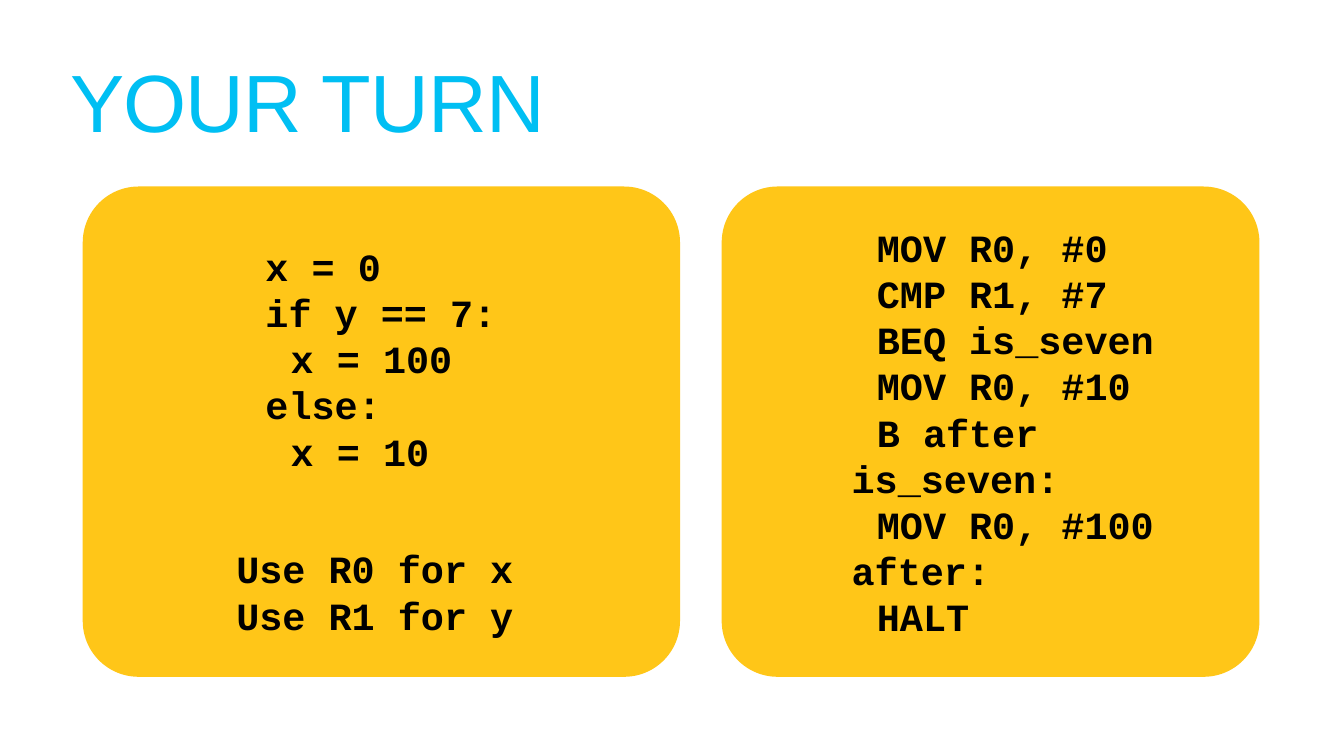
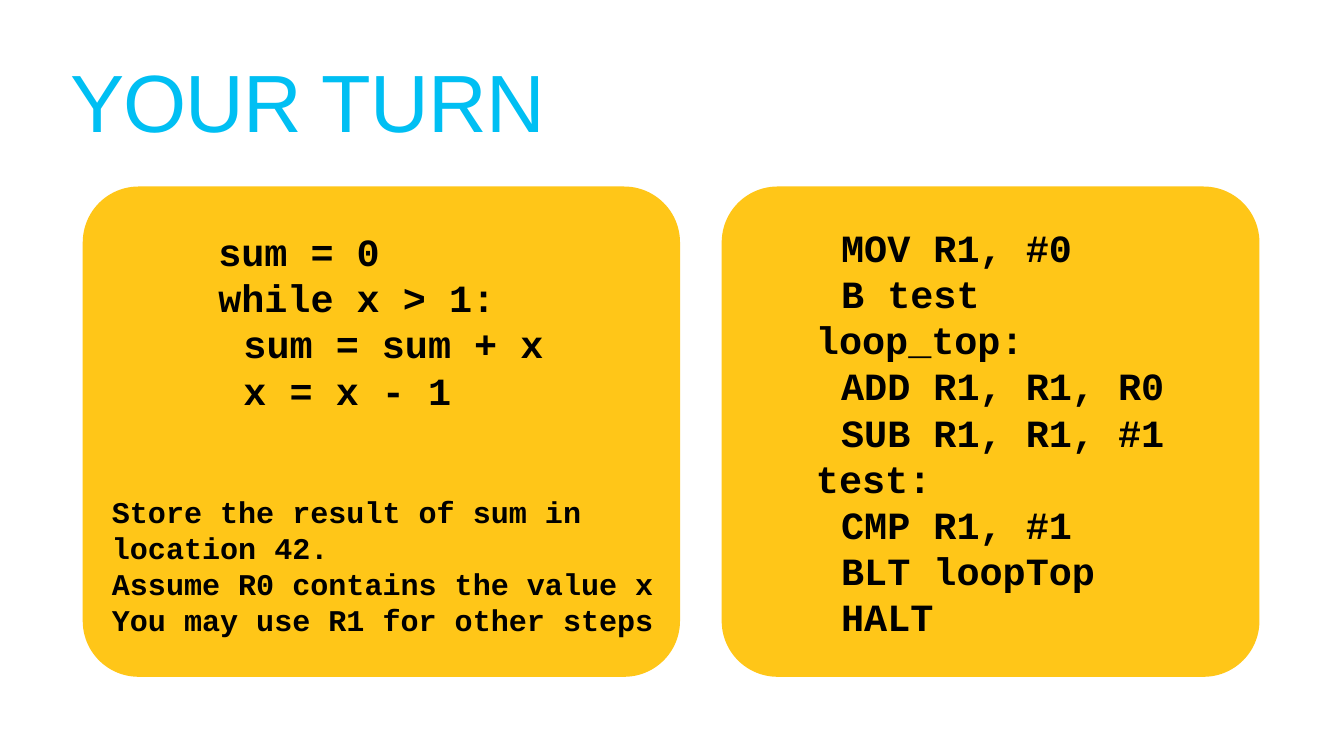
"""Build two exercise slides that pair high-level code with its assembly answer."""
from dataclasses import dataclass

from pptx import Presentation
from pptx.dml.color import RGBColor
from pptx.enum.shapes import MSO_SHAPE
from pptx.enum.text import MSO_ANCHOR, MSO_AUTO_SIZE, PP_ALIGN
from pptx.slide import Slide
from pptx.text.text import TextFrame
from pptx.util import Cm, Pt

ROUNDED = MSO_SHAPE.ROUNDED_RECTANGLE
MIDDLE, TOP = MSO_ANCHOR.MIDDLE, MSO_ANCHOR.TOP
GROW, FIXED = MSO_AUTO_SIZE.SHAPE_TO_FIT_TEXT, MSO_AUTO_SIZE.NONE
LEFT = PP_ALIGN.LEFT

CYAN = RGBColor(0x00, 0xBF, 0xF3)
AMBER = RGBColor(0xFF, 0xC6, 0x18)
BLACK = RGBColor(0x00, 0x00, 0x00)

TITLE_FONT, CODE_FONT = "Arial", "Courier New"
CODE_SIZE = 55
INSET = Cm(0.15)
INDENT = Cm(1.27)
TITLE_ONLY = 5


@dataclass(frozen=True)
class Box:
    """Place and size in centimetres."""
    left: float
    top: float
    width: float
    height: float

    def lengths(self) -> tuple[Cm, Cm, Cm, Cm]:
        """Return the four values as lengths."""
        return Cm(self.left), Cm(self.top), Cm(self.width), Cm(self.height)


@dataclass(frozen=True)
class Listing:
    """Lines of code or instructions, each with its indent level."""
    box: Box
    lines: tuple[tuple[int, str], ...]
    size: float = CODE_SIZE
    wrap: bool = False


@dataclass(frozen=True)
class Exercise:
    """A program, the hints for it and its assembly answer."""
    program: Listing
    hints: Listing
    assembly: Listing


TITLE_BOX = Box(3.38, 3.38, 60.96, 6.38)
PANELS = (Box(4.17, 9.4, 30.1, 24.71), Box(36.37, 9.4, 27.1, 24.71))
PANEL_ROUNDING = 0.114

EXERCISES = (
    Exercise(
        Listing(Box(13.23, 11.25, 11.96, 13.61), (
            (0, "x = 0"),
            (0, "if y == 7:"),
            (1, "x = 100"),
            (0, "else:"),
            (1, "x = 10"),
        )),
        Listing(Box(11.76, 26.34, 14.86, 6.96), (
            (0, "Use R0 for x"),
            (0, "Use R1 for y"),
        ), wrap=True),
        Listing(Box(41.5, 11.61, 16.84, 20.29), (
            (2, "MOV R0, #0"),
            (2, "CMP R1, #7"),
            (2, "BEQ is_seven"),
            (2, "MOV R0, #10"),
            (2, "B after"),
            (1, "is_seven:"),
            (2, "MOV R0, #100"),
            (1, "after:"),
            (2, "HALT"),
        )),
    ),
    Exercise(
        Listing(Box(10.85, 11.56, 16.71, 9.17), (
            (0, "sum = 0"),
            (0, "while x > 1:"),
            (1, "sum = sum + x"),
            (1, "x = x - 1"),
        )),
        Listing(Box(5.49, 24.03, 29.49, 8.92), (
            (0, "Store the result of sum in location 42."),
            (0, "Assume R0 contains the value x"),
            (0, "You may use R1 for other steps"),
        ), size=43, wrap=True),
        Listing(Box(40.97, 11.61, 17.88, 20.29), (
            (1, "MOV R1, #0"),
            (1, "B test"),
            (0, "loop_top:"),
            (1, "ADD R1, R1, R0"),
            (1, "SUB R1, R1, #1"),
            (0, "test:"),
            (1, "CMP R1, #1"),
            (1, "BLT loopTop"),
            (1, "HALT"),
        )),
    ),
)


def write_text(frame: TextFrame, lines: tuple[tuple[int, str], ...], *,
               font: str = CODE_FONT, size: float = CODE_SIZE,
               color: RGBColor = BLACK, bold: bool = True, wrap: bool = True,
               anchor: MSO_ANCHOR = MIDDLE, fit: MSO_AUTO_SIZE = GROW,
               line_spacing: float = 1.0, tracking: float = 0) -> None:
    """Fill a text frame with indented lines in one format."""
    frame.margin_left = frame.margin_right = INSET
    frame.margin_top = frame.margin_bottom = INSET
    frame.word_wrap = wrap
    frame.auto_size = fit
    frame.vertical_anchor = anchor
    for index, (level, text) in enumerate(lines):
        paragraph = frame.add_paragraph() if index else frame.paragraphs[0]
        paragraph.alignment = LEFT
        paragraph.level = level
        paragraph.line_spacing = line_spacing
        properties = paragraph._p.get_or_add_pPr()
        properties.set("marL", str(level * INDENT))
        properties.set("indent", "0")
        run = paragraph.add_run()
        run.text = text
        run.font.name = font
        run.font.size = Pt(size)
        run.font.bold = bold
        run.font.color.rgb = color
        if tracking:
            run._r.get_or_add_rPr().set("spc", str(round(tracking * 100)))


def add_title(slide: Slide, text: str) -> None:
    """Place and format the title placeholder."""
    title = slide.shapes.title
    title.left, title.top, title.width, title.height = TITLE_BOX.lengths()
    write_text(title.text_frame, ((0, text),), font=TITLE_FONT, size=116,
               color=CYAN, bold=False, anchor=TOP, fit=FIXED,
               line_spacing=0.8, tracking=-1.2)


def add_panel(slide: Slide, box: Box) -> None:
    """Draw a rounded panel behind a listing."""
    panel = slide.shapes.add_shape(ROUNDED, *box.lengths())
    panel.adjustments[0] = PANEL_ROUNDING
    panel.shadow.inherit = False
    panel.fill.solid()
    panel.fill.fore_color.rgb = AMBER
    panel.line.fill.background()


def add_listing(slide: Slide, listing: Listing) -> None:
    """Add a text box that holds a listing."""
    textbox = slide.shapes.add_textbox(*listing.box.lengths())
    write_text(textbox.text_frame, listing.lines,
               size=listing.size, wrap=listing.wrap)


def main() -> None:
    """Build and save the presentation."""
    deck = Presentation()
    deck.slide_width, deck.slide_height = Cm(67.73), Cm(38.1)
    for exercise in EXERCISES:
        slide = deck.slides.add_slide(deck.slide_layouts[TITLE_ONLY])
        add_title(slide, "YOUR TURN")
        for box in PANELS:
            add_panel(slide, box)
        for listing in (exercise.program, exercise.hints, exercise.assembly):
            add_listing(slide, listing)
    deck.save("out.pptx")


if __name__ == "__main__":
    main()
